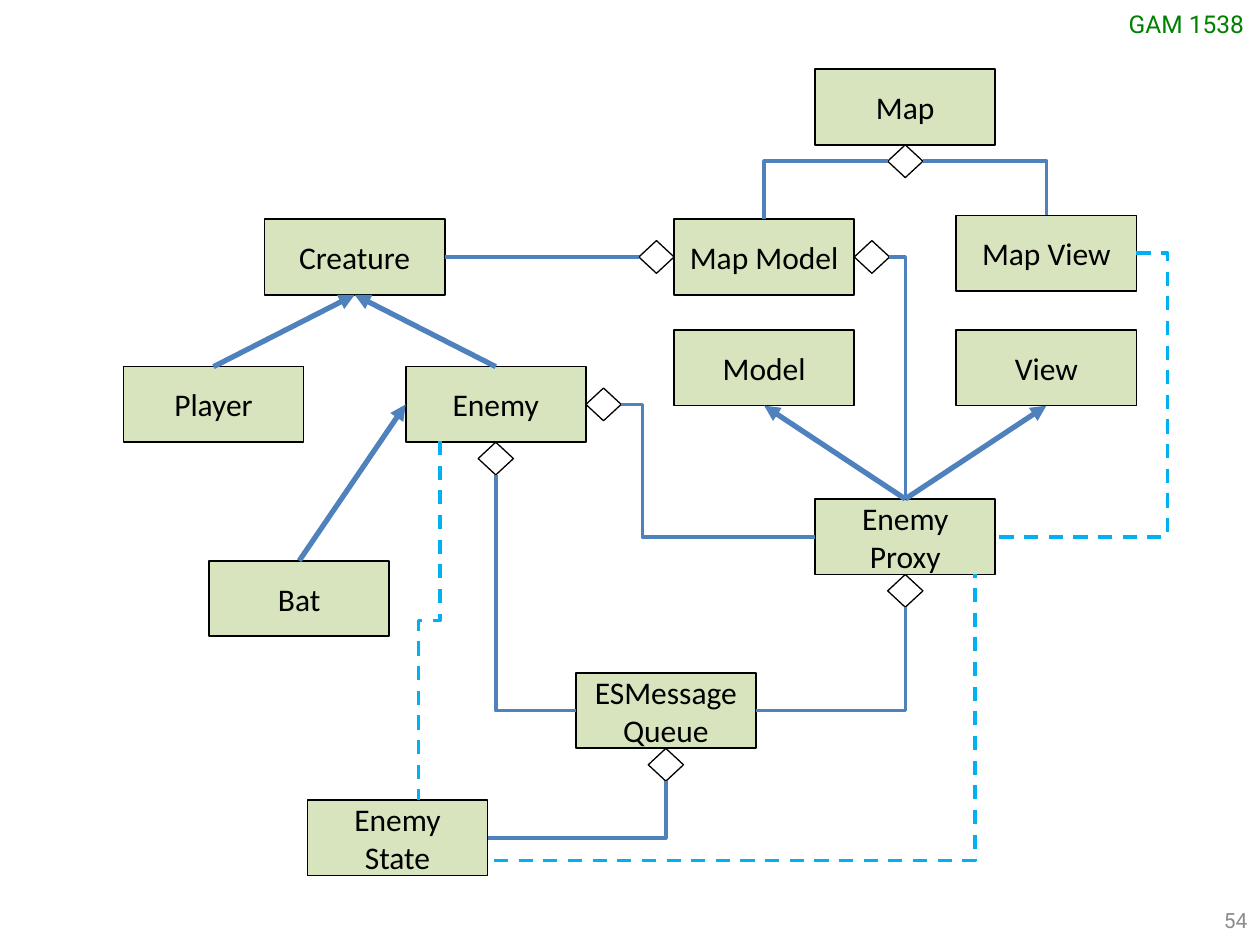
"""Build the class diagram slide of the game's map, creatures and enemy messages."""
from lxml import etree
from pptx import Presentation
from pptx import util as u
from pptx.dml.color import RGBColor
from pptx.enum import dml, shapes, text
from pptx.oxml.ns import qn

COLORS = {
    "box": "D7E4BD", "white": "FFFFFF", "ink": "000000", "link": "4F81BD",
    "state": "00B0F0", "course": "008000", "number": "8C8C8C",
}
WIDTH, HEIGHT = u.Inches(10), u.Inches(7.5)
COLUMNS, ROWS = 100, 75
BOX_SIZE = (14.3, 6)
DIAMOND_SIZE = (2.8, 2.6)
TOP, LEFT, BOTTOM, RIGHT = range(4)
SIDE_SHARES = [(0.5, 0), (0, 0.5), (0.5, 1), (1, 0.5)]

CLASSES = {
    "Map": (64.7, 5.5), "Map Model": (53.5, 17.4), "Map View": (75.9, 17.1),
    "Model": (53.5, 26.2), "View": (75.9, 26.2), "Creature": (21, 17.4),
    "Player": (9.8, 29.1), "Enemy": (32.2, 29.1), "Bat": (16.6, 44.5),
    "Enemy\nProxy": (64.7, 39.6), "ESMessage\nQueue": (45.7, 53.4),
    "Enemy\nState": (24.4, 63.5),
}
INHERITANCE = [
    ("Player", "Creature", BOTTOM), ("Enemy", "Creature", BOTTOM), ("Bat", "Enemy", LEFT),
    ("Enemy\nProxy", "Model", BOTTOM), ("Enemy\nProxy", "View", BOTTOM),
]
OWNERS = [
    ("Map", BOTTOM), ("Map Model", LEFT), ("Map Model", RIGHT), ("Enemy", RIGHT),
    ("Enemy", BOTTOM), ("Enemy\nProxy", BOTTOM), ("ESMessage\nQueue", BOTTOM),
]


def color(name):
    """Return the named colour."""
    return RGBColor.from_string(COLORS[name])


def col(count):
    """Return the length of a number of grid columns."""
    return int(WIDTH * count / COLUMNS)


def row(count):
    """Return the length of a number of grid rows."""
    return int(HEIGHT * count / ROWS)


def side(shape, index):
    """Return the middle point of one side of a shape."""
    across, down = SIDE_SHARES[index]
    return int(shape.left + shape.width * across), int(shape.top + shape.height * down)


def add_outlined(slide, kind, left, top, size, fill, weight):
    """Add a filled shape with a black outline."""
    outlined = slide.shapes.add_shape(kind, left, top, col(size[0]), row(size[1]))
    outlined.shadow.inherit = False
    outlined.fill.solid()
    outlined.fill.fore_color.rgb = color(fill)
    outlined.line.color.rgb = color("ink")
    outlined.line.width = u.Pt(weight)
    return outlined


def write(frame, words, font, size, ink, align):
    """Write lines of words as evenly styled paragraphs."""
    frame.text = words
    for paragraph in frame.paragraphs:
        paragraph.alignment = align
        paragraph.font.name = font
        paragraph.font.size = u.Pt(size)
        paragraph.font.color.rgb = color(ink)


def add_class(slide, name, place):
    """Add a class box with its name."""
    box = add_outlined(slide, shapes.MSO_SHAPE.RECTANGLE, col(place[0]), row(place[1]),
                       BOX_SIZE, "box", 1)
    box.text_frame.vertical_anchor = text.MSO_ANCHOR.MIDDLE
    write(box.text_frame, name, "Calibri", 18, "ink", text.PP_ALIGN.CENTER)
    return box


def add_diamond(slide, owner, index):
    """Add an aggregation diamond that touches one side of its owner."""
    x, y = side(owner, index)
    across, down = SIDE_SHARES[index]
    left = x - int(col(DIAMOND_SIZE[0]) * (1 - across))
    top = y - int(row(DIAMOND_SIZE[1]) * (1 - down))
    return add_outlined(slide, shapes.MSO_SHAPE.DIAMOND, left, top, DIAMOND_SIZE, "white", 0.75)


def add_line(slide, kind, start, end, ink="link", weight=2):
    """Add a plain connector between two points."""
    line = slide.shapes.add_connector(kind, *start, *end)
    line.line.color.rgb = color(ink)
    line.line.width = u.Pt(weight)
    etree.SubElement(line._element.spPr, qn("a:effectLst"))
    return line


def add_straight(slide, source, source_side, target, target_side, weight=2):
    """Add a straight connector joined to two shapes."""
    line = add_line(slide, shapes.MSO_CONNECTOR.STRAIGHT, side(source, source_side),
                    side(target, target_side), weight=weight)
    line.begin_connect(source, source_side)
    line.end_connect(target, target_side)
    return line


def add_inheritance(slide, child, parent, parent_side):
    """Add an arrow from the top of a child class to its parent."""
    arrow = add_straight(slide, child, TOP, parent, parent_side, weight=3)
    etree.SubElement(arrow.line._get_or_add_ln(), qn("a:tailEnd"), type="triangle")


def add_elbow(slide, start, end, bend=None, ink="link", turn=0):
    """Add a bent connector with one corner, or with two at the share given by bend."""
    elbow = add_line(slide, shapes.MSO_CONNECTOR.ELBOW, start, end, ink)
    geometry = elbow._element.spPr.find(qn("a:prstGeom"))
    if bend is None:
        geometry.set("prst", "bentConnector2")
    else:
        guides = geometry.find(qn("a:avLst"))
        etree.SubElement(guides, qn("a:gd"), name="adj1", fmla=f"val {round(bend * 100000)}")
    if turn:
        elbow._element.spPr.find(qn("a:xfrm")).set("rot", str(turn * 60000))
    return elbow


def add_dashed(slide, start, end, bend=None, turn=0):
    """Add a dashed bent connector for the flow of state."""
    dashed = add_elbow(slide, start, end, bend, "state", turn)
    dashed.line.dash_style = dml.MSO_LINE.DASH


def add_label(slide, words, place, size, ink, align, wrap, anchor):
    """Add a text box for a page label."""
    left, top, width, height = place
    label = slide.shapes.add_textbox(col(left), row(top), col(width), row(height))
    label.text_frame.word_wrap = wrap
    label.text_frame.vertical_anchor = anchor
    write(label.text_frame, words, "Roboto", size, ink, align)


def main():
    """Build and save the slide."""
    deck = Presentation()
    deck.slide_width, deck.slide_height = WIDTH, HEIGHT
    slide = deck.slides.add_slide(deck.slide_layouts[6])
    add_label(slide, "GAM 1538", (88.6, 0.2, 11.4, 3.4), 14, "course",
              text.PP_ALIGN.LEFT, False, text.MSO_ANCHOR.TOP)
    add_label(slide, "54", (76.7, 71, 23.3, 4), 12, "number",
              text.PP_ALIGN.RIGHT, True, text.MSO_ANCHOR.MIDDLE)

    boxes = {name: add_class(slide, name, place) for name, place in CLASSES.items()}
    diamonds = {(name, index): add_diamond(slide, boxes[name], index) for name, index in OWNERS}
    for child, parent, parent_side in INHERITANCE:
        add_inheritance(slide, boxes[child], boxes[parent], parent_side)

    proxy, queue, state = (boxes[n] for n in ("Enemy\nProxy", "ESMessage\nQueue", "Enemy\nState"))
    add_straight(slide, boxes["Creature"], RIGHT, diamonds["Map Model", LEFT], LEFT)
    corners = [
        (diamonds["Map", BOTTOM], LEFT, boxes["Map Model"], TOP),
        (diamonds["Map", BOTTOM], RIGHT, boxes["Map View"], TOP),
        (diamonds["Map Model", RIGHT], RIGHT, proxy, TOP),
        (state, RIGHT, diamonds["ESMessage\nQueue", BOTTOM], BOTTOM),
        (queue, LEFT, diamonds["Enemy", BOTTOM], BOTTOM),
        (queue, RIGHT, diamonds["Enemy\nProxy", BOTTOM], BOTTOM),
    ]
    for source, source_side, target, target_side in corners:
        add_elbow(slide, side(source, source_side), side(target, target_side))
    add_elbow(slide, side(diamonds["Enemy", RIGHT], RIGHT), side(proxy, LEFT), 0.11)

    add_dashed(slide, (col(19.8), row(48.4)), (col(48.3), row(50.1)), 0.5, turn=90)
    add_dashed(slide, (col(39.2), row(68.3)), (col(77.4), row(45.6)))
    add_dashed(slide, side(boxes["Map View"], RIGHT), side(proxy, RIGHT), -0.22)
    deck.save("out.pptx")


if __name__ == "__main__":
    main()
